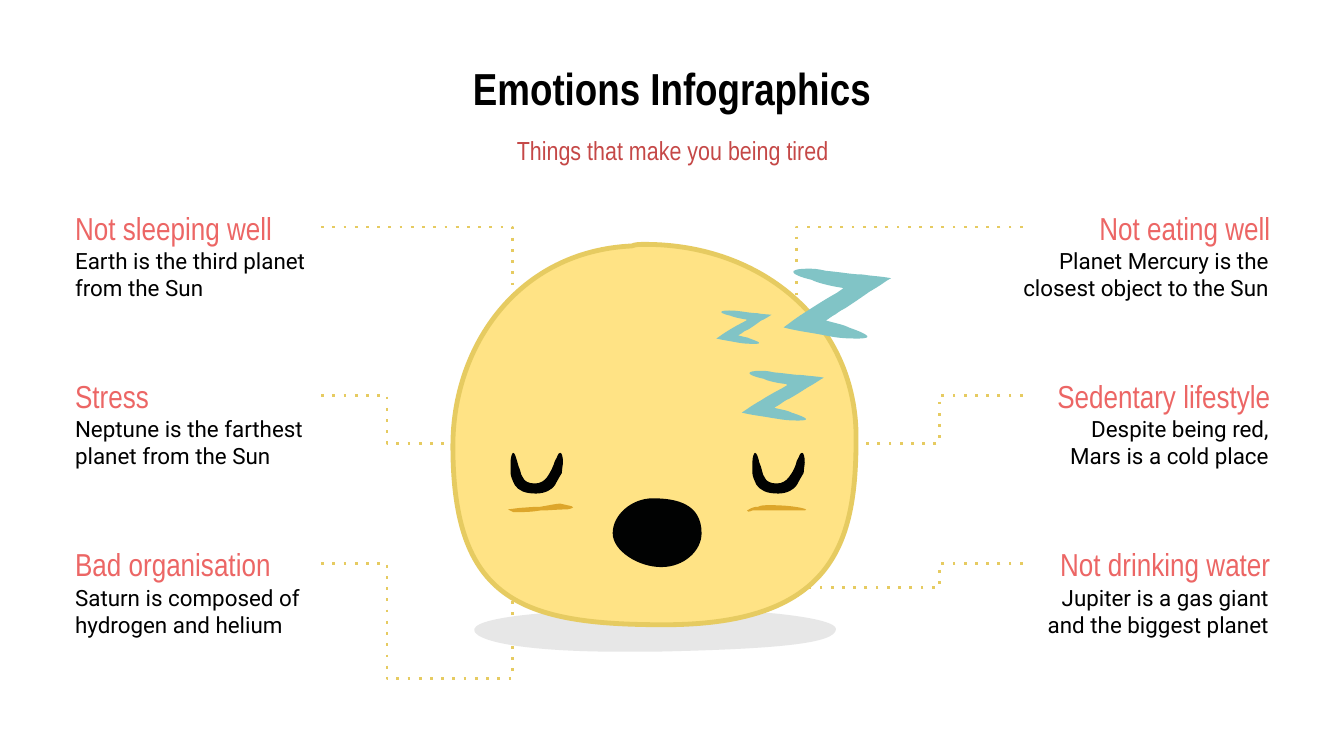
import pptx
import pptx.util
import pptx.dml.color
import pptx.enum.dml
import pptx.enum.shapes
import pptx.enum.text
import pptx.oxml
import pptx.oxml.ns
from lxml import etree

Cm = pptx.util.Cm
Pt = pptx.util.Pt
RGB = pptx.dml.color.RGBColor.from_string
Align = pptx.enum.text.PP_ALIGN
qn = pptx.oxml.ns.qn

theme = {
    "head": "Arial Narrow", "body": "Roboto",
    "black": "000000", "coral": "EC6665", "red": "C54847",
    "dots": "E6CB61", "skin": "FFE385", "cheek": "DDA62B",
    "ink": "010202", "shade": "E7E7E7", "sleep": "81C4C6",
    "title": 24, "sub": 14, "topic": 17, "note": 12,
}

deck = pptx.Presentation()
deck.slide_width, deck.slide_height = Cm(25.4), Cm(14.29)
slide = deck.slides.add_slide(deck.slide_layouts[5])


def write(box, text, font, size, color, align, bold=False):
    frame = box.text_frame
    frame.text = text
    frame.word_wrap = True
    frame.vertical_anchor = pptx.enum.text.MSO_ANCHOR.MIDDLE
    frame.margin_left = frame.margin_right = Cm(0.25)
    frame.margin_top = frame.margin_bottom = Cm(0.25)
    for para in frame.paragraphs:
        para.alignment = align
        for run in para.runs:
            run.font.name, run.font.size = theme[font], Pt(theme[size])
            run.font.bold = bold
            run.font.color.rgb = RGB(theme[color])


def draw(curve, color, left=0, top=0, wide=1, high=1, edge=None):
    """Outline from a start point, then line ends (2 numbers) or Beziers (6)."""
    # Outlines are in hundredths of an inch, the pen in hundredths of a cm
    parts = [[(round((left + x * wide) * 2.54), round((top + y * high) * 2.54))
              for x, y in zip(part[::2], part[1::2])] for part in curve]
    ends = [part[-1] for part in parts]
    pen = slide.shapes.build_freeform(*ends[0], scale=Cm(0.01))
    pen.add_line_segments(ends[1:], close=True)
    shape = pen.convert_to_shape()
    # Turn the line segments that have control points into Beziers
    minx, miny = min(x for x, y in ends), min(y for x, y in ends)
    nodes = list(shape.element.iter(qn("a:lnTo")))
    for node, part in zip(nodes, parts[1:]):
        if len(part) == 3:
            node.tag = qn("a:cubicBezTo")
            for spot, (x, y) in enumerate(part[:2]):
                knob = etree.Element(qn("a:pt"), x=str(x - minx), y=str(y - miny))
                node.insert(spot, knob)
    shape.shadow.inherit = False
    shape.fill.solid()
    shape.fill.fore_color.rgb = RGB(theme[color])
    if edge:
        shape.line.color.rgb = RGB(theme[edge])
        shape.line.width = Pt(2.57)
    else:
        shape.line.fill.background()


# Dotted links: start column, row, end x, end y, bend kind, adjustments
first, pitch = 3.71, 3.18
links = [
    (6.07, 0, 9.68, 5.74, 2, []),
    (6.07, 1, 8.56, 8.38, 3, [50000]),
    (6.07, 2, 9.68, 11.05, 4, [34500, 545600]),
    (19.33, 0, 15.06, 5.74, 2, []),
    (19.33, 1, 16.18, 8.38, 3, [50000]),
    (19.33, 2, 15.06, 11.05, 4, [36800, 113600]),
]
for x, row, endx, endy, bend, turns in links:
    y = first + pitch * row + 0.58
    link = slide.shapes.add_connector(
        pptx.enum.shapes.MSO_CONNECTOR.ELBOW, Cm(x), Cm(y), Cm(endx), Cm(endy))
    link.line.color.rgb = RGB(theme["dots"])
    link.line.width = Pt(1.5)
    link.line.dash_style = pptx.enum.dml.MSO_LINE.ROUND_DOT
    props = link.element.spPr
    props.find(".//" + qn("a:prstDash")).set("val", "dot")
    etree.SubElement(props, qn("a:effectLst"))
    geom = props.find(qn("a:prstGeom"))
    geom.set("prst", f"bentConnector{bend}")
    for old in list(geom):
        geom.remove(old)
    guides = etree.SubElement(geom, qn("a:avLst"))
    for num, turn in enumerate(turns, 1):
        etree.SubElement(guides, qn("a:gd"), name=f"adj{num}", fmla=f"val {turn}")

# Title and subtitle
title = slide.shapes.title
title.left, title.top, title.width, title.height = Cm(0.5), Cm(0.86), Cm(24.4), Cm(1.6)
write(title, "Emotions Infographics", "head", "title", "black", Align.CENTER, True)
sub = slide.shapes.add_textbox(Cm(6.1), Cm(2.24), Cm(13.23), Cm(1.19))
write(sub, "Things that make you being tired", "head", "sub", "red", Align.CENTER)

# Ground shadow and head
draw([(499, 453), (494, 453, 489, 453, 484, 453), (412, 454, 348, 459, 353, 470),
      (357, 478, 393, 485, 463, 485), (470, 485, 477, 485, 485, 485),
      (577, 483, 622, 479, 622, 468), (622, 460, 565, 453, 499, 453)], "shade")
draw([(480, 182), (476, 182, 473, 182, 470, 183), (386, 187, 337, 257, 337, 332),
      (337, 446, 387, 465, 494, 465), (623, 465, 637, 401, 637, 325),
      (637, 242, 569, 182, 480, 182)], "skin", edge="dots")

# Cheeks
draw([(417, 375), (414, 375, 409, 376, 402, 377), (395, 377, 390, 378, 387, 378),
      (378, 379), (382, 381), (387, 381), (390, 381, 395, 381, 402, 380),
      (409, 380, 414, 379, 422, 379), (428, 378, 428, 377, 422, 376)], "cheek")
draw([(573, 376), (569, 376, 566, 376, 564, 377), (561, 377, 559, 378, 556, 380),
      (556, 381, 557, 381, 560, 380), (596, 380), (601, 380, 601, 379, 596, 378),
      (592, 377, 585, 376, 573, 376)], "cheek")

# Closed eyes
eye = [(2, 0), (1, 0, 0, 3, 0, 7), (0, 9, 0, 12, 0, 15),
       (0, 17, 1, 20, 3, 24), (6, 28, 10, 30.5, 19, 30.5),
       (26, 30.5, 31, 27, 33, 24), (35, 20, 37, 17, 38, 15),
       (38, 12, 39, 9, 39, 7), (39, 3, 38, 0, 37, 0),
       (35, 0, 35, 3, 33, 6), (32, 10, 30, 14, 27, 18),
       (25, 21, 22, 23, 18, 23), (13, 23, 11, 21, 10, 20), (8, 17, 7, 15, 7, 13),
       (6, 11, 6, 9, 5, 7), (4, 3, 3, 0, 2, 0)]
for left in (380, 560):
    draw(eye, "ink", left, 337)

# Yawning mouth
draw([(486, 371), (470, 371, 456, 383, 456, 397), (456, 410, 475, 422, 492, 422),
      (509, 422, 522, 410, 522, 397), (522, 375, 503, 371, 486, 371)], "ink")

# Sleep letters: one outline, stretched to each size
zed = [(14, 0), (2, 0, 3, 3, 16, 6), (18, 7, 25, 9, 33, 10), (34, 10.5),
       (30, 13), (24, 16, 19, 19, 14, 22), (7, 26, 3, 29, 0, 31),
       (8, 33, 16, 34, 22, 35), (28, 36, 32, 37, 42, 37), (51, 37, 49, 35, 37, 31),
       (37, 31, 35, 30, 31, 29), (24, 27.5), (28, 25),
       (30, 24, 32, 22, 35, 21), (40, 18, 46, 14, 49, 12), (55, 9, 59, 6, 61, 5),
       (55, 4, 50, 4, 45, 3), (39, 3, 34, 2, 24, 1), (19, 0, 17, 0, 14, 0)]
for left, top, wide, high in [(583, 200, 80, 52), (552, 276, 61, 37), (533, 231, 41, 25)]:
    draw(zed, "sleep", left, top, wide / 61, high / 37)

# Topics down both sides
sides = [
    (1.17, 1.17, Align.LEFT, [
        ("Not sleeping well", "Earth is the third planet from the Sun"),
        ("Stress", "Neptune is the farthest planet from the Sun"),
        ("Bad organisation", "Saturn is composed of hydrogen and helium")]),
    (19.33, 18.57, Align.RIGHT, [
        ("Not eating well", "Planet Mercury is the closest object to the Sun"),
        ("Sedentary lifestyle", "Despite being red,\vMars is a cold place"),
        ("Not drinking water", "Jupiter is a gas giant\vand the biggest planet")]),
]
for headx, notex, align, topics in sides:
    for row, (topic, note) in enumerate(topics):
        top = first + pitch * row
        box = slide.shapes.add_textbox(Cm(headx), Cm(top), Cm(4.93), Cm(1.19))
        write(box, topic, "head", "topic", "coral", align)
        box = slide.shapes.add_textbox(Cm(notex), Cm(top + 0.74), Cm(5.66), Cm(1.47))
        write(box, note, "body", "note", "black", align)

deck.save("out.pptx")
